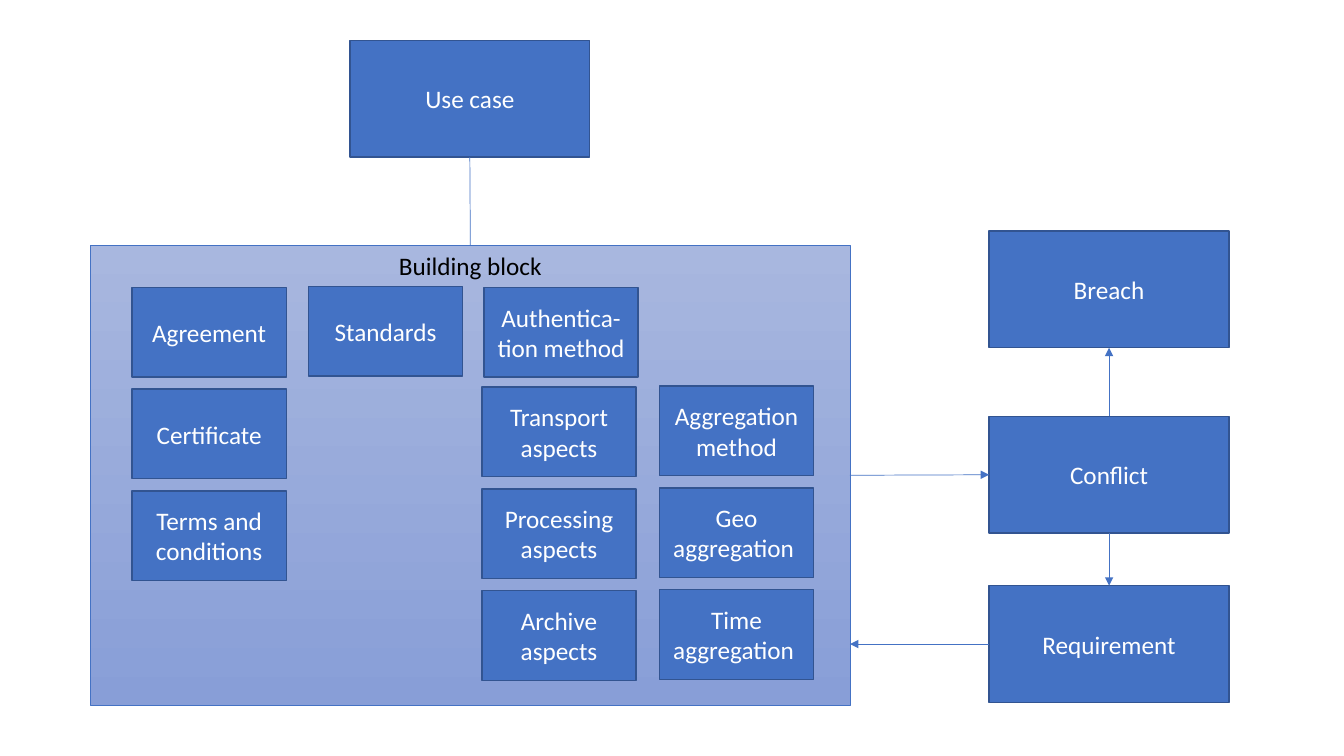
import pptx
import pptx.dml.color
import pptx.enum.shapes
import pptx.enum.text
import pptx.oxml
import pptx.util
from pptx.util import Inches

RGBColor = pptx.dml.color.RGBColor
BLUE = RGBColor(0x44, 0x72, 0xC4)
DARK_BLUE = RGBColor(0x32, 0x54, 0x91)
GRADIENT_TOP = RGBColor(0xA8, 0xB7, 0xDF)
GRADIENT_BOTTOM = RGBColor(0x88, 0x9E, 0xD7)
WHITE = RGBColor(0xFF, 0xFF, 0xFF)
BLACK = RGBColor(0x00, 0x00, 0x00)

LARGE = (2.38, 1.16)
SMALL = (1.53, 0.89)
ROW_PITCH = 1.01

presentation = pptx.Presentation()
presentation.slide_width = Inches(13.33)
presentation.slide_height = Inches(7.5)
slide = presentation.slides.add_slide(presentation.slide_layouts[6])


def add_box(text, left, top, size, text_color=WHITE):
    shape = slide.shapes.add_shape(
        pptx.enum.shapes.MSO_SHAPE.RECTANGLE,
        Inches(left), Inches(top), Inches(size[0]), Inches(size[1]))
    shape.shadow.inherit = False
    shape.fill.solid()
    shape.fill.fore_color.rgb = BLUE
    shape.line.color.rgb = DARK_BLUE
    shape.line.width = pptx.util.Pt(1)
    shape.text_frame.text = text
    shape.text_frame.word_wrap = True
    shape.text_frame.vertical_anchor = pptx.enum.text.MSO_ANCHOR.MIDDLE
    paragraph = shape.text_frame.paragraphs[0]
    paragraph.alignment = pptx.enum.text.PP_ALIGN.CENTER
    font = paragraph.runs[0].font
    font.name = "Calibri"
    font.size = pptx.util.Pt(18)
    font.color.rgb = text_color
    return shape


def add_link(start, end, arrow=True):
    connector = slide.shapes.add_connector(
        pptx.enum.shapes.MSO_CONNECTOR.STRAIGHT,
        Inches(start[0]), Inches(start[1]), Inches(end[0]), Inches(end[1]))
    connector.line.color.rgb = BLUE
    connector.line.width = pptx.util.Pt(0.5)
    if arrow:
        line = connector.line._get_or_add_ln()
        tail = pptx.oxml.parse_xml(
            '<a:tailEnd xmlns:a="http://schemas.openxmlformats.org/drawingml/2006/main"'
            ' type="triangle"/>')
        line.append(tail)
    connector._element.spPr.append(pptx.oxml.parse_xml(
        '<a:effectLst xmlns:a="http://schemas.openxmlformats.org/drawingml/2006/main"/>'))
    return connector


# Use case and the building block container
use_case = add_box("Use case", 3.47, 0.4, LARGE)
building_block = add_box("Building block", 0.9, 2.43, (7.53, 4.57), BLACK)
building_block.text_frame.vertical_anchor = pptx.enum.text.MSO_ANCHOR.TOP
building_block.line.color.rgb = BLUE
building_block.line.width = pptx.util.Pt(0.5)
building_block.fill.gradient()
building_block.fill.gradient_angle = 270
for stop, color in zip(building_block.fill.gradient_stops, (GRADIENT_TOP, GRADIENT_BOTTOM)):
    stop.color.rgb = color

# Columns of parts inside the building block: left, top, labels
part_columns = [
    (1.31, 2.85, ["Agreement", "Certificate", "Terms and conditions"]),
    (3.06, 2.84, ["Standards"]),
    (4.8, 2.85, ["Authentica-tion method"]),
    (4.78, 3.84, ["Transport aspects", "Processing aspects", "Archive aspects"]),
    (6.54, 3.83, ["Aggregation method", "Geo aggregation ", "Time aggregation "]),
]
for left, top, labels in part_columns:
    for row, label in enumerate(labels):
        add_box(label, left, top + row * ROW_PITCH, SMALL)

# Right-hand column
breach = add_box("Breach", 9.81, 2.29, LARGE)
conflict = add_box("Conflict", 9.81, 4.13, LARGE)
requirement = add_box("Requirement", 9.81, 5.81, LARGE)

# Links between boxes: start box and side, end box and side, arrowhead
links = [
    (building_block, 0, use_case, 2, False),
    (building_block, 3, conflict, 1, True),
    (conflict, 0, breach, 2, True),
    (conflict, 2, requirement, 0, True),
]
for start_box, start_side, end_box, end_side, arrow in links:
    link = add_link((0, 0), (1, 1), arrow)
    link.begin_connect(start_box, start_side)
    link.end_connect(end_box, end_side)

# Requirement points back to the lower part of the building block
feedback = add_link((9.81, 6.39), (8.43, 6.39))
feedback.begin_connect(requirement, 1)

presentation.save("out.pptx")
